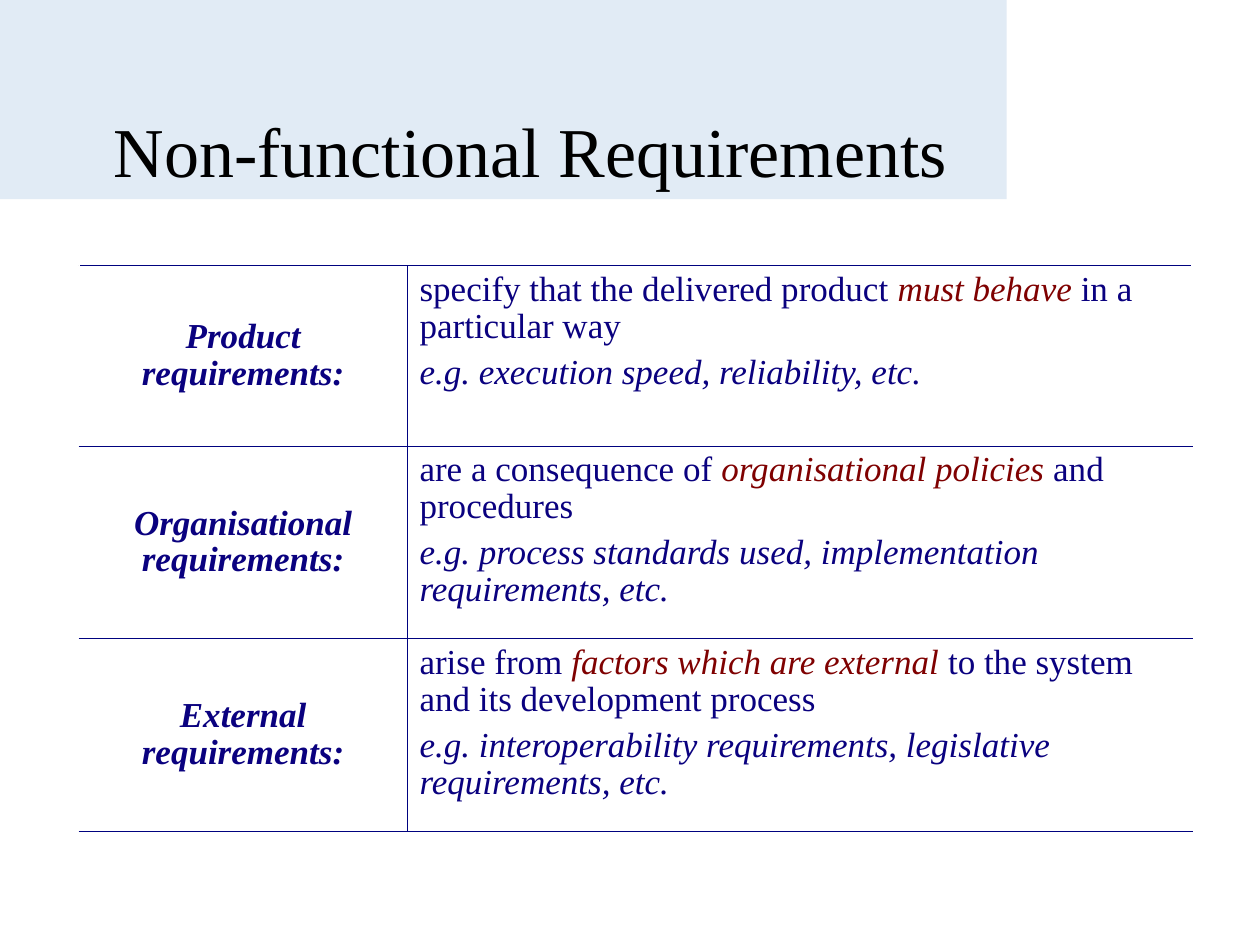
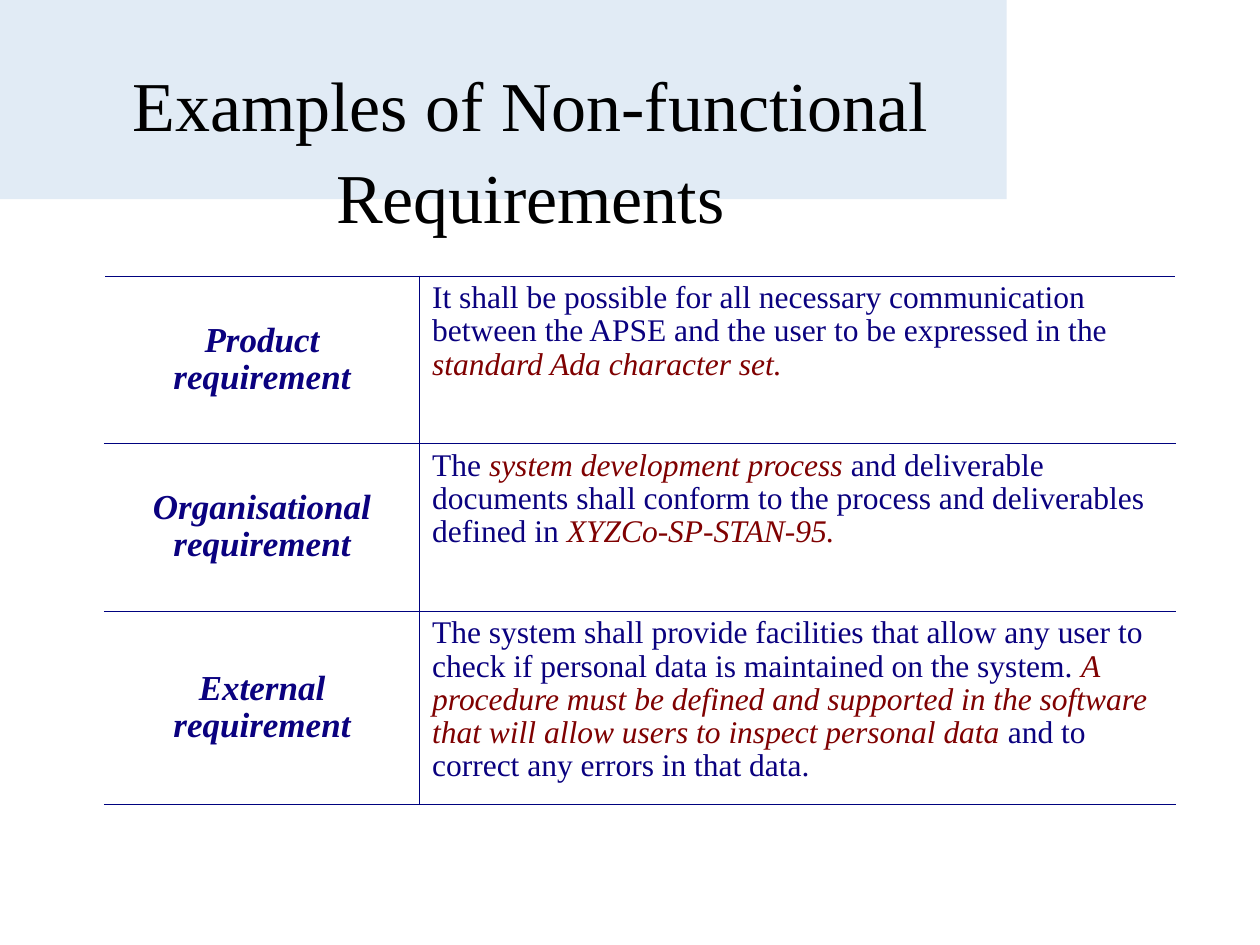
"""Build two slides on non-functional requirements."""
from lxml import etree
from pptx import Presentation
from pptx import util as u
from pptx.dml.color import RGBColor
from pptx.enum import shapes, text
from pptx.oxml import ns

BLACK = RGBColor(0x00, 0x00, 0x00)
NAVY = RGBColor(0x0A, 0x01, 0x7F)
MAROON = RGBColor(0x7F, 0x01, 0x01)
RULE = RGBColor(0x00, 0x02, 0x7F)
BAND = RGBColor(0xE1, 0xEB, 0xF5)
FONT = "Times New Roman"
LABEL_SIZE = 20
RULE_WIDTH = u.Pt(0.45)

KINDS = [
    ("Product requirements:",
     ["specify that the delivered product *must behave* in a particular way",
      "e.g. execution speed, reliability, etc."]),
    ("Organisational requirements:",
     ["are a consequence of *organisational policies* and procedures",
      "e.g. process standards used, implementation requirements, etc."]),
    ("External requirements:",
     ["arise from *factors which are external* to the system and its development process",
      "e.g. interoperability requirements, legislative requirements, etc."]),
]
EXAMPLES = [
    ("Product requirement",
     ["It shall be possible for all necessary communication between the APSE and the user "
      "to be expressed in the *standard Ada character set.*"]),
    ("Organisational requirement",
     ["The *system development process* and deliverable documents shall conform to the "
      "process and deliverables defined in *XYZCo-SP-STAN-95.*"]),
    ("External requirement",
     ["The system shall provide facilities that allow any user to check if personal data is "
      "maintained on the system. *A procedure must be defined and supported in the software "
      "that will allow users to inspect personal data* and to correct any errors in that data."]),
]


class Deck:
    """Hold the shared style and the current slide."""

    def __init__(self):
        """Open a blank presentation."""
        self.presentation = Presentation()
        self.presentation.slide_width = u.Inches(10)
        self.presentation.slide_height = u.Inches(7.5)
        self.layout = self.presentation.slide_layouts[5]
        self.slide = None

    def style_run(self, run, size, color, bold=False, italic=False):
        """Set the font of one run."""
        font = run.font
        font.name, font.size, font.color.rgb = FONT, u.Pt(size), color
        font.bold, font.italic = bold, italic

    def add_band(self):
        """Put the title band behind everything on the layout."""
        band = self.slide.shapes.add_shape(
            shapes.MSO_SHAPE.RECTANGLE, 0, 0, u.Inches(7.99), u.Inches(1.58))
        band.shadow.inherit = False
        band.fill.solid()
        band.fill.fore_color.rgb = BAND
        band.line.fill.background()
        band.element.nvSpPr.cNvPr.id = 20
        self.layout.shapes.element.insert(2, band.element)

    def add_slide(self, title):
        """Start a slide with its title."""
        self.slide = self.presentation.slides.add_slide(self.layout)
        shape = self.slide.shapes.title
        shape.left, shape.top = u.Inches(0.59), u.Inches(0.71)
        shape.width, shape.height = u.Inches(7.24), u.Inches(0.89)
        frame = shape.text_frame
        frame.text = title
        frame.word_wrap = True
        frame.auto_size = text.MSO_AUTO_SIZE.NONE
        frame.vertical_anchor = text.MSO_ANCHOR.MIDDLE
        paragraph = frame.paragraphs[0]
        paragraph.alignment = text.PP_ALIGN.CENTER
        paragraph.line_spacing = 1.09
        self.style_run(paragraph.runs[0], 40, BLACK)

    def add_rules(self, cell, sides):
        """Draw thin borders on the given sides of a cell."""
        properties = cell._tc.get_or_add_tcPr()
        for position, side in enumerate(sides):
            line = etree.Element(ns.qn(f"a:ln{side}"), w=str(RULE_WIDTH))
            fill = etree.SubElement(line, ns.qn("a:solidFill"))
            etree.SubElement(fill, ns.qn("a:srgbClr"), val=str(RULE))
            properties.insert(position, line)

    def fill_label(self, cell, label):
        """Write a centred row label."""
        cell.text_frame.text = label
        cell.vertical_anchor = text.MSO_ANCHOR.MIDDLE
        paragraph = cell.text_frame.paragraphs[0]
        paragraph.alignment = text.PP_ALIGN.CENTER
        paragraph.line_spacing = 0.95
        self.style_run(paragraph.runs[0], LABEL_SIZE, NAVY, bold=True, italic=True)

    def fill_description(self, cell, lines, size):
        """Write paragraphs in which starred phrases stand out."""
        frame = cell.text_frame
        for index, line in enumerate(lines):
            paragraph = frame.add_paragraph() if index else frame.paragraphs[0]
            paragraph.line_spacing = 0.95
            if index:
                paragraph.space_before = u.Pt(size / 4)
            for part, phrase in enumerate(line.split("*")):
                if phrase:
                    run = paragraph.add_run()
                    run.text = phrase
                    emphasised = part % 2 == 1
                    self.style_run(run, size, MAROON if emphasised else NAVY,
                                   italic=emphasised or index > 0)

    def add_table(self, entries, left, top, widths, heights, size):
        """Add a ruled table of labels and descriptions."""
        table = self.slide.shapes.add_table(
            len(entries), 2, u.Inches(left), u.Inches(top),
            u.Inches(sum(widths)), u.Inches(sum(heights))).table
        table.first_row = table.horz_banding = False
        for column, width in zip(table.columns, widths):
            column.width = u.Inches(width)
        for row, height, (label, lines) in zip(table.rows, heights, entries):
            row.height = u.Inches(height)
            label_cell, description_cell = row.cells
            self.fill_label(label_cell, label)
            self.fill_description(description_cell, lines, size)
            for cell, sides in ((label_cell, "RTB"), (description_cell, "LTB")):
                cell.fill.background()
                self.add_rules(cell, sides)


def main():
    """Build and save the slides."""
    deck = Deck()
    deck.add_slide("Non-functional Requirements")
    deck.add_band()
    deck.add_table(KINDS, 0.63, 2.11, (2.6, 6.23), (1.43, 1.53, 1.53), 20)
    deck.add_slide("Examples of Non-functional Requirements")
    deck.add_table(EXAMPLES, 0.83, 2.19, (2.5, 6), (1.33, 1.33, 1.53), 18)
    deck.presentation.save("out.pptx")


if __name__ == "__main__":
    main()
